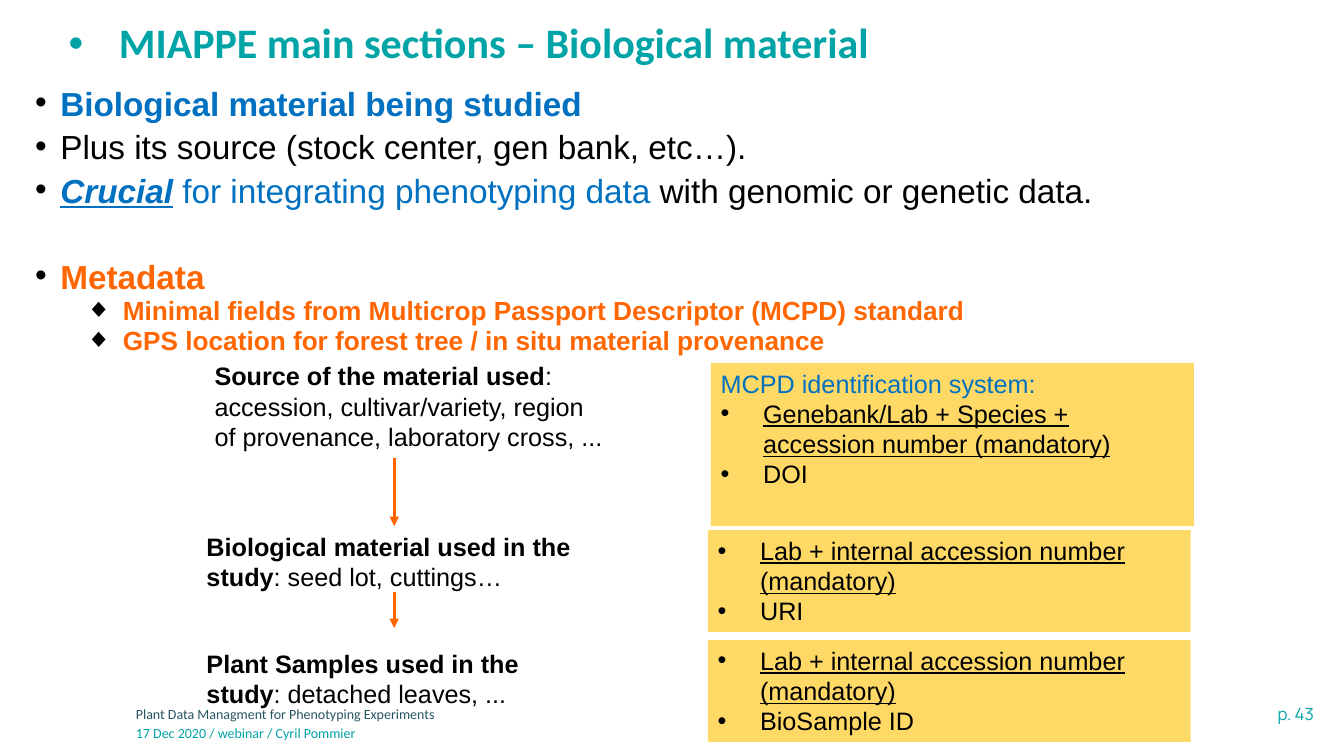
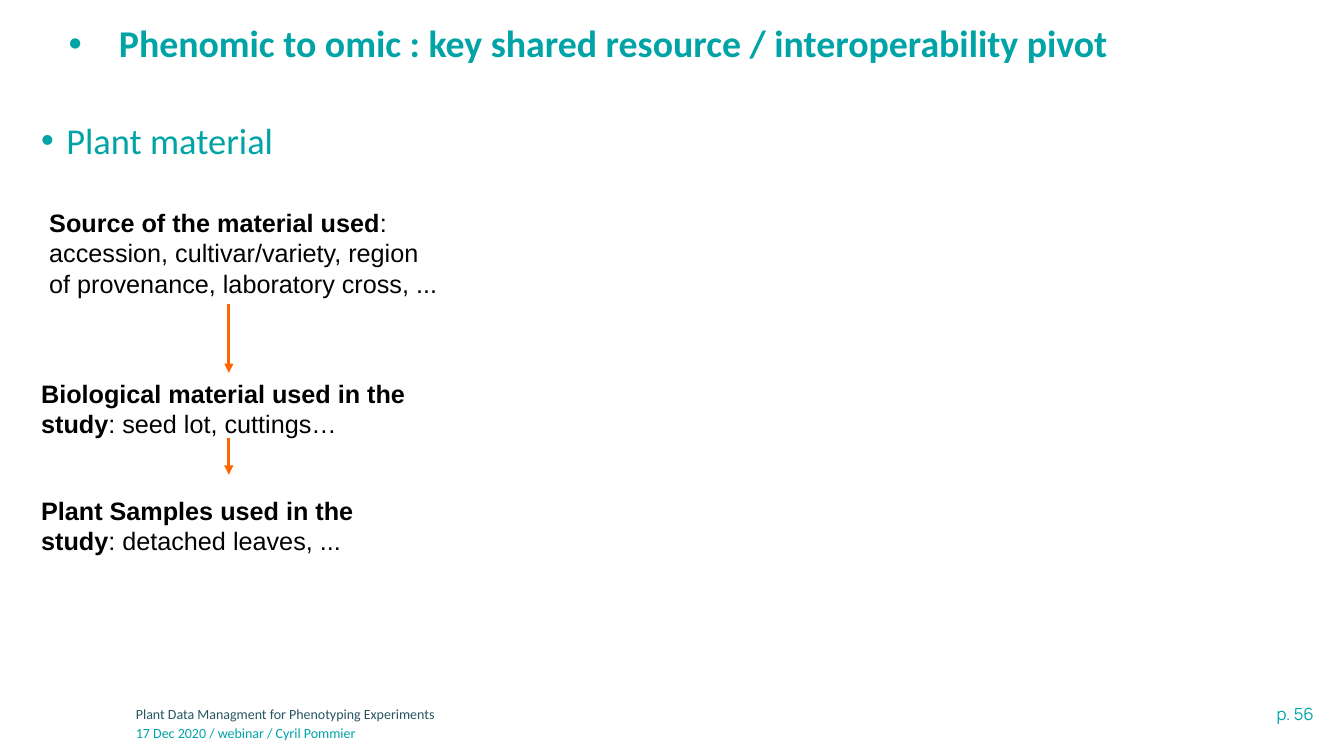
from lxml import etree
from pptx import Presentation
from pptx.dml.color import RGBColor
from pptx.enum import shapes, text
from pptx.oxml import ns
from pptx.util import Inches, Pt

TEAL = RGBColor(0x00, 0xA3, 0xA6)
DARK_TEAL = RGBColor(0x27, 0x56, 0x62)
BLUE = RGBColor(0x00, 0x70, 0xC0)
ORANGE = RGBColor(0xFF, 0x66, 0x00)
YELLOW = RGBColor(0xFF, 0xD9, 0x66)
BLACK = RGBColor(0x00, 0x00, 0x00)


def add_box(slide, left, top, width, height, fill=None):
    """Add a plain text area, or a filled rectangle, and return its text frame."""
    place = Inches(left), Inches(top), Inches(width), Inches(height)
    if fill is None:
        box = slide.shapes.add_textbox(*place)
    else:
        box = slide.shapes.add_shape(shapes.MSO_SHAPE.RECTANGLE, *place)
        box.shadow.inherit = False
        box.fill.solid()
        box.fill.fore_color.rgb = fill
        box.line.fill.background()
    box.text_frame.word_wrap = True
    box.text_frame.vertical_anchor = text.MSO_ANCHOR.TOP
    return box.text_frame


def write(frame, runs, size=18, font="Arial", color=BLACK, bold=False, underline=False,
          align=text.PP_ALIGN.LEFT, spacing=None, before=0, bullet=None,
          bullet_color=BLACK, indent=0.42, hanging=0.42):
    """Write one paragraph; runs is a string or a list of (string, run format)."""
    first = frame.paragraphs[0]
    paragraph = frame.add_paragraph() if first.runs else first
    paragraph.alignment = align
    if spacing:
        paragraph.line_spacing = spacing
    if before:
        paragraph.space_before = Pt(before)
    if bullet:
        properties = paragraph._p.get_or_add_pPr()
        properties.set("marL", str(Inches(indent)))
        properties.set("indent", str(-Inches(hanging)))
        mark_color = etree.SubElement(properties, ns.qn("a:buClr"))
        etree.SubElement(mark_color, ns.qn("a:srgbClr"), val=str(bullet_color))
        etree.SubElement(properties, ns.qn("a:buFont"), typeface="Arial")
        etree.SubElement(properties, ns.qn("a:buChar"), char=bullet)
    for words, style in [(runs, {})] if isinstance(runs, str) else runs:
        run = paragraph.add_run()
        run.text = words
        run.font.size = Pt(size)
        run.font.name = font
        run.font.color.rgb = style.get("color", color)
        run.font.bold = style.get("bold", bold)
        run.font.italic = style.get("italic", False)
        run.font.underline = style.get("underline", underline)


# title, title size, title width, page, left and top of the material chain
PAGES = [
    ("MIAPPE main sections – Biological material", 30, 8.62, 43, 1.95, 3.53),
    ("Phenomic to omic : key shared resource / interoperability pivot", 27, 10.76, 56, 0.31, 2.01),
]
# offset from the chain's left and top, height, bold lead, rest
CHAIN_STEPS = [
    (0.08, 0, 1.01, "Source of the material used",
     ": accession, cultivar/variety, region of provenance, laboratory cross, ..."),
    (0, 1.69, 0.68, "Biological material used in the study", ": seed lot, cuttings…"),
    (0, 2.85, 0.68, "Plant Samples used in the study", ": detached leaves, ..."),
]
CHAIN_ARROWS = [(1.01, 1.69), (2.34, 2.7)]

deck = Presentation()
deck.slide_width, deck.slide_height = Inches(13.33), Inches(7.5)
slides = []

for title, title_size, title_width, page, chain_left, chain_top in PAGES:
    slide = deck.slides.add_slide(deck.slide_layouts[6])
    slides.append(slide)

    write(add_box(slide, 10.85, 6.93, 2.28, 0.3), f"p. {page}", size=12, font="Manrope",
          color=TEAL, align=text.PP_ALIGN.RIGHT)
    write(add_box(slide, 1.25, 6.95, 7.34, 0.28),
          "Plant Data Managment for Phenotyping Experiments",
          size=10, font="Calibri", color=DARK_TEAL)
    write(add_box(slide, 1.25, 7.14, 7.34, 0.28), "17 Dec 2020 / webinar / Cyril Pommier",
          size=10, font="Calibri", color=TEAL)

    heading = add_box(slide, 0.68, 0.03, title_width, 0.84)
    heading.margin_left = 0
    heading.vertical_anchor = text.MSO_ANCHOR.MIDDLE
    write(heading, title, size=title_size, font="Calibri", color=TEAL, bold=True,
          spacing=0.9, bullet="•", bullet_color=TEAL, indent=0.5, hanging=0.5)

    for dx, dy, height, lead, rest in CHAIN_STEPS:
        step = add_box(slide, chain_left + dx, chain_top + dy, 4.1, height)
        write(step, [(lead, {"bold": True}), (rest, {})])

    arrow_x = Inches(chain_left + 1.96)
    for start, end in CHAIN_ARROWS:
        arrow = slide.shapes.add_connector(
            shapes.MSO_CONNECTOR.STRAIGHT, arrow_x, Inches(chain_top + start),
            arrow_x, Inches(chain_top + end))
        arrow.line.color.rgb = ORANGE
        arrow.line.width = Pt(2.25)
        etree.SubElement(arrow.line._get_or_add_ln(), ns.qn("a:tailEnd"), type="triangle")
        etree.SubElement(arrow._element.spPr, ns.qn("a:effectLst"))

material_slide, pivot_slide = slides

# Biological material: key points
key_points = [
    ([("Biological material being studied", {"color": BLUE, "bold": True})], 0),
    ("Plus its source (stock center, gen bank, etc…).", 10),
    ([("Crucial", {"color": BLUE, "bold": True, "italic": True, "underline": True}),
      (" for integrating phenotyping data", {"color": BLUE}),
      (" with genomic or genetic data.", {})], 10),
    ([("Metadata", {"color": ORANGE, "bold": True})], 40),
]
body = add_box(material_slide, 0.25, 0.87, 12.83, 2.82)
for runs, before in key_points:
    write(body, runs, size=23.8, spacing=0.74, before=before, bullet="•",
          indent=0.25, hanging=0.25)
for field in ["Minimal fields from Multicrop Passport Descriptor (MCPD) standard",
              "GPS location for forest tree / in situ material provenance"]:
    write(body, field, size=18.7, color=ORANGE, bold=True, spacing=0.74, before=5,
          bullet="◆", indent=0.87, hanging=0.37)

# Biological material: identifiers for each step of the chain
identifier_panels = [
    (7.05, 3.6, 1.62, "MCPD identification system:",
     "Genebank/Lab + Species + accession number (mandatory)", "DOI"),
    (7.02, 5.26, 1.01, None, "Lab + internal accession number (mandatory)", "URI"),
    (7.02, 6.35, 1.01, None, "Lab + internal accession number (mandatory)", "BioSample ID"),
]
for left, top, height, caption, mandatory, alternative in identifier_panels:
    panel = add_box(material_slide, left, top, 4.79, height, fill=YELLOW)
    if caption:
        write(panel, caption, color=BLUE)
    write(panel, mandatory, underline=True, bullet="•")
    write(panel, alternative, bullet="•")

# Interoperability pivot
write(add_box(pivot_slide, 0.31, 1.17, 12.83, 5.76), "Plant material", size=26,
      font="Calibri", color=TEAL, spacing=0.9, bullet="•", bullet_color=TEAL,
      indent=0.25, hanging=0.25)

deck.save("out.pptx")
